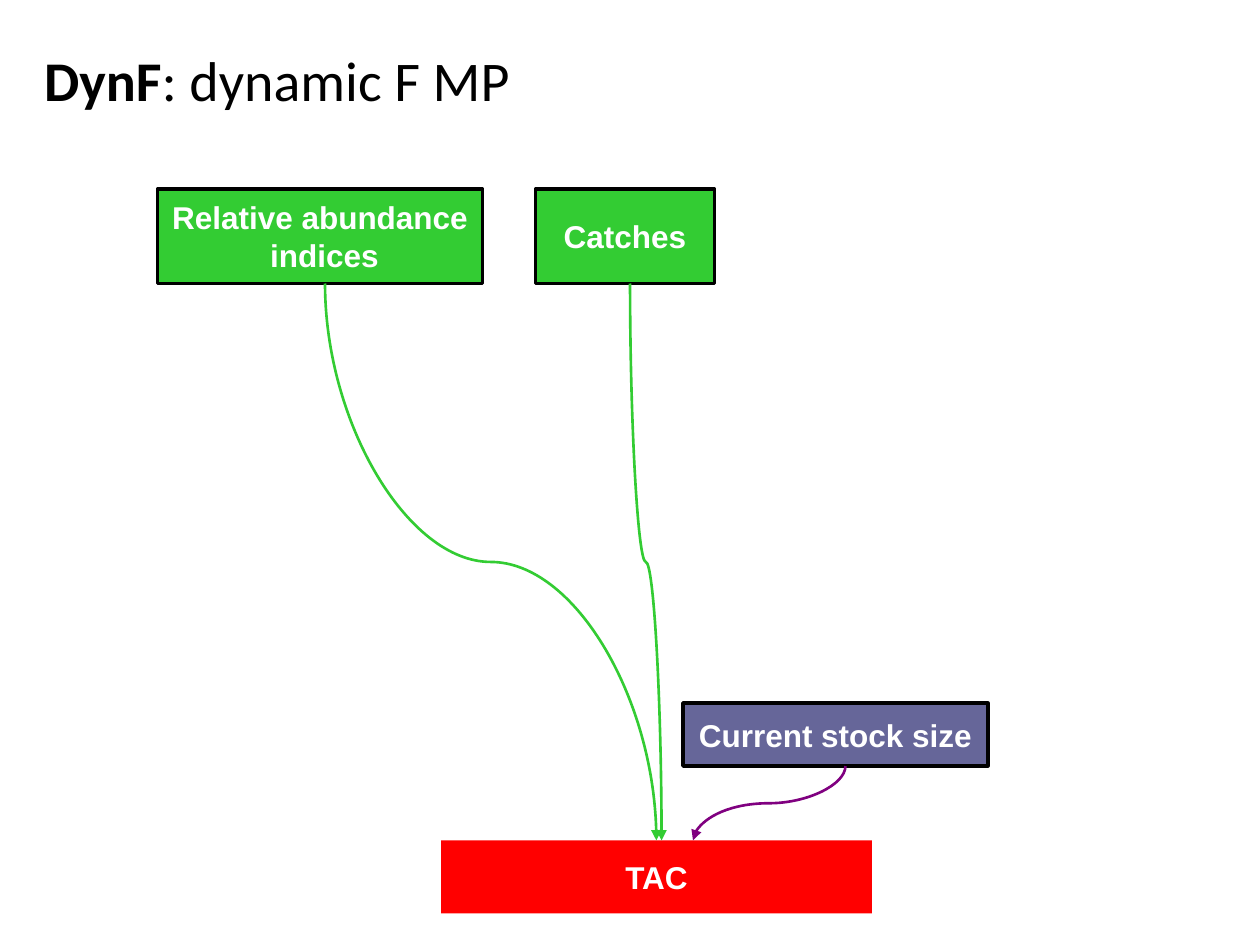
from typing import NamedTuple, Optional

import pptx
import pptx.dml.color
import pptx.enum.shapes
import pptx.enum.text
import pptx.oxml.ns
import pptx.util
from lxml import etree

Inches = pptx.util.Inches
Pt = pptx.util.Pt

COLORS = {
    "black": "000000",
    "white": "FFFFFF",
    "green": "33CC33",
    "slate": "666699",
    "red": "FF0000",
    "purple": "800080",
}


class Box(NamedTuple):
    lines: tuple[str, ...]
    left: float
    top: float
    width: float
    height: float
    fill: str
    border: Optional[str] = "black"


class Arrow(NamedTuple):
    x1: float
    y1: float
    x2: float
    y2: float
    color: str


ARROWS = [
    Arrow(2.58, 2.25, 5.21, 6.67, "green"),
    Arrow(5, 2.25, 5.25, 6.67, "green"),
    Arrow(6.71, 6.08, 5.5, 6.67, "purple"),
]
BOXES = [
    Box(("TAC",), 3.5, 6.67, 3.42, 0.58, "red", None),
    Box(("Catches",), 4.25, 1.5, 1.42, 0.75, "green"),
    Box(("Relative abundance", " indices"), 1.25, 1.5, 2.58, 0.75, "green"),
    Box(("Current stock size",), 5.42, 5.58, 2.42, 0.5, "slate"),
]


def rgb(name: str) -> pptx.dml.color.RGBColor:
    return pptx.dml.color.RGBColor.from_string(COLORS[name])


def add_run(p, text: str, font: str, size: float, color: str, bold: bool) -> None:
    r = p.add_run()
    r.text = text
    r.font.name = font
    r.font.size = Pt(size)
    r.font.bold = bold
    r.font.color.rgb = rgb(color)


def add_box(slide, box: Box) -> None:
    sp = slide.shapes.add_shape(
        pptx.enum.shapes.MSO_SHAPE.RECTANGLE,
        Inches(box.left), Inches(box.top), Inches(box.width), Inches(box.height))
    sp.shadow.inherit = False
    sp.fill.solid()
    sp.fill.fore_color.rgb = rgb(box.fill)
    if box.border:
        sp.line.color.rgb = rgb(box.border)
        sp.line.width = Pt(2)
    else:
        sp.line.fill.background()
    tf = sp.text_frame
    tf.word_wrap = False
    tf.vertical_anchor = pptx.enum.text.MSO_ANCHOR.MIDDLE
    for i, line in enumerate(box.lines):
        p = tf.add_paragraph() if i else tf.paragraphs[0]
        p.alignment = pptx.enum.text.PP_ALIGN.CENTER
        add_run(p, line, "Arial", 18, "white", True)


def add_arrow(slide, arrow: Arrow) -> None:
    # A curve leaving downwards is a horizontal one turned about its centre
    cx, cy = (arrow.x1 + arrow.x2) / 2, (arrow.y1 + arrow.y2) / 2
    rightward = arrow.x2 > arrow.x1
    half_w = (arrow.y2 - arrow.y1) / 2 * (-1 if rightward else 1)
    half_h = abs(arrow.x2 - arrow.x1) / 2
    sp = slide.shapes.add_connector(
        pptx.enum.shapes.MSO_CONNECTOR.CURVE,
        Inches(cx - half_w), Inches(cy - half_h),
        Inches(cx + half_w), Inches(cy + half_h))
    sp.line.color.rgb = rgb(arrow.color)
    sp.line.width = Pt(1.5)
    qn = pptx.oxml.ns.qn
    sp_pr = sp._element.spPr
    sp_pr.find(qn("a:xfrm")).set("rot", str((270 if rightward else 90) * 60000))
    etree.SubElement(sp_pr.find(qn("a:ln")), qn("a:tailEnd"), type="triangle")
    etree.SubElement(sp_pr, qn("a:effectLst"))


prs = pptx.Presentation()
prs.slide_width, prs.slide_height = Inches(10), Inches(7.5)
slide = prs.slides.add_slide(prs.slide_layouts[5])

# Title
title = slide.shapes.title
title.left, title.top = Inches(0.25), Inches(0.25)
title.width, title.height = Inches(9), Inches(0.75)
tf = title.text_frame
tf.vertical_anchor = pptx.enum.text.MSO_ANCHOR.MIDDLE
p = tf.paragraphs[0]
p.alignment = pptx.enum.text.PP_ALIGN.LEFT
add_run(p, "DynF", "Calibri", 32, "black", True)
add_run(p, ": dynamic F MP", "Calibri", 32, "black", False)

# Flow diagram
for box in BOXES:
    add_box(slide, box)
for arrow in ARROWS:
    add_arrow(slide, arrow)

prs.save("out.pptx")
